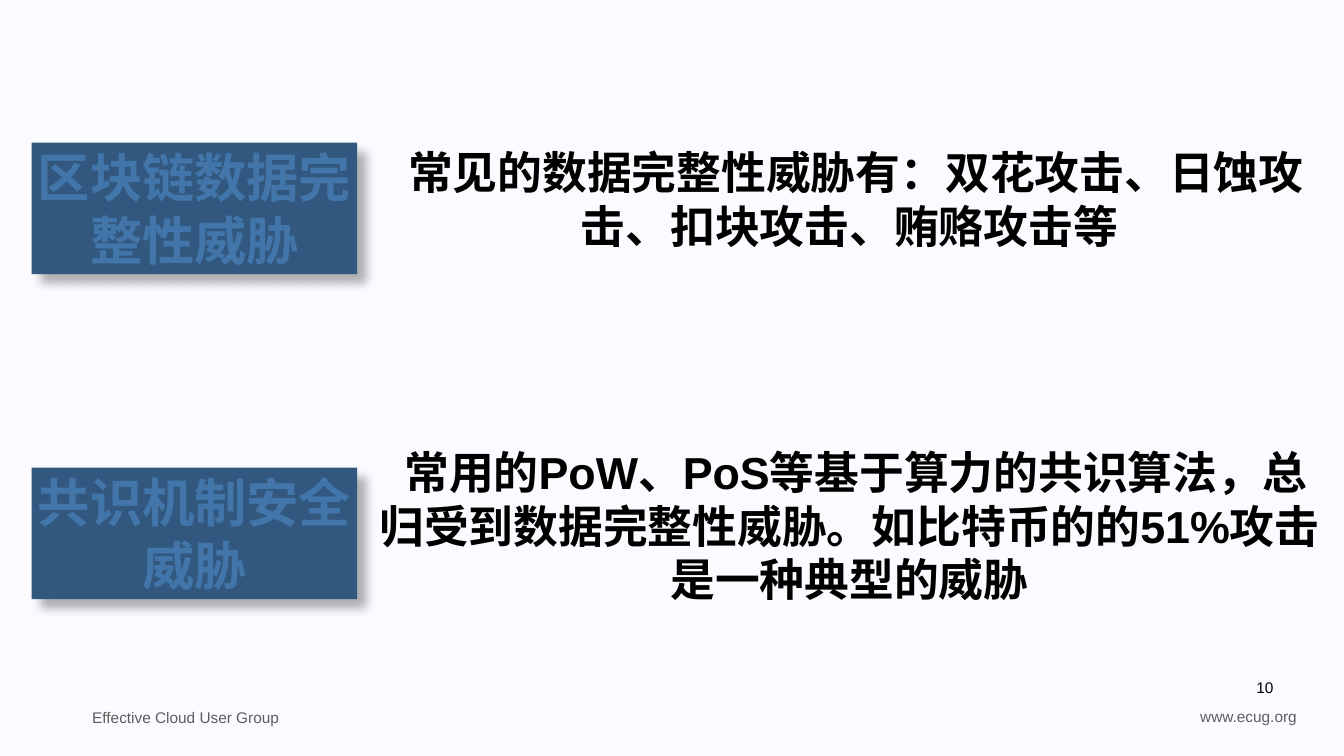
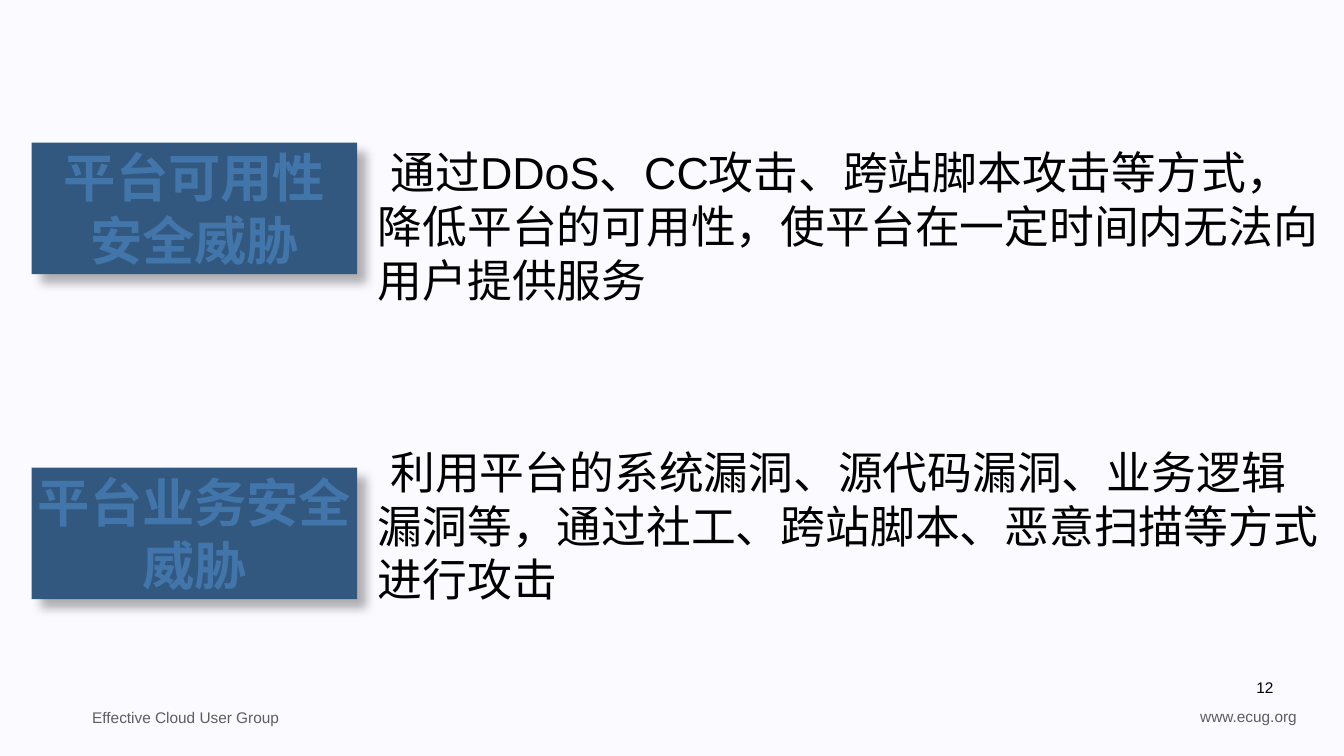
from pptx import Presentation
from pptx.dml.color import RGBColor
from pptx.enum.shapes import MSO_SHAPE
from pptx.enum.text import MSO_ANCHOR, MSO_AUTO_SIZE, PP_ALIGN
from pptx.oxml import parse_xml
from pptx.oxml.ns import qn
from pptx.util import Inches, Pt
from lxml.etree import SubElement

COLORS = {"back": "FAFAFF", "box": "32587F", "label": "4276AA",
          "foot": "5E5E5E", "text": "000000"}
FONT = "Arial"
TOPS = (2.83, 9.28)
SHADOW = (
    '<a:effectLst xmlns:a="http://schemas.openxmlformats.org/drawingml/2006/main">'
    f'<a:outerShdw blurRad="{Pt(15)}" dist="{Pt(18)}" dir="2700000" rotWithShape="0">'
    '<a:srgbClr val="000000"><a:alpha val="30000"/></a:srgbClr>'
    '</a:outerShdw></a:effectLst>')

# Page number, then per row: label, text, text top, text height
PAGES = [
    ("10", True, [
        ("区块链数据完整性威胁",
         "常见的数据完整性威胁有：双花攻击、日蚀攻击、扣块攻击、贿赂攻击等", 2.83, 2.26),
        ("共识机制安全威胁",
         "常用的PoW、PoS等基于算力的共识算法，总归受到数据完整性威胁。"
         "如比特币的的51%攻击是一种典型的威胁", 8.77, 3.33)]),
    ("12", False, [
        ("平台可用性\n安全威胁",
         "通过DDoS、CC攻击、跨站脚本攻击等方式，降低平台的可用性，"
         "使平台在一定时间内无法向用户提供服务", 2.83, 3.33),
        ("平台业务安全威胁",
         "利用平台的系统漏洞、源代码漏洞、业务逻辑漏洞等，"
         "通过社工、跨站脚本、恶意扫描等方式进行攻击", 8.77, 3.33)]),
]


def write(shape, text, size, color, bold=False, align=PP_ALIGN.CENTER, wrap=True):
    frame = shape.text_frame
    frame.text = text
    frame.word_wrap = wrap
    frame.auto_size = MSO_AUTO_SIZE.SHAPE_TO_FIT_TEXT
    frame.vertical_anchor = MSO_ANCHOR.TOP
    for par in frame.paragraphs:
        par.alignment = align
        for run in par.runs:
            run.font.size = Pt(size)
            run.font.name = FONT
            run.font.bold = bold
            run.font.color.rgb = RGBColor.from_string(COLORS[color])
            SubElement(run.font._element, qn("a:ea")).set("typeface", FONT)
    return frame


def note(slide, text, area, color, pad, align=PP_ALIGN.CENTER):
    box = slide.shapes.add_textbox(*map(Inches, area))
    frame = write(box, text, 22, color, align=align, wrap=False)
    frame.margin_left = frame.margin_right = Inches(pad)
    frame.margin_top = frame.margin_bottom = Inches(pad)
    return frame


deck = Presentation()
deck.slide_width, deck.slide_height = Inches(26.67), Inches(15)

# Shared background
fill = deck.slide_master.background.fill
fill.solid()
fill.fore_color.rgb = RGBColor.from_string(COLORS["back"])

for number, strong, rows in PAGES:
    slide = deck.slides.add_slide(deck.slide_layouts[6])

    # Footer and page number
    group = note(slide, "Effective Cloud User Group", (1.75, 13.98, 3.88, 0.51),
                 "foot", 0.08, PP_ALIGN.LEFT)
    group.paragraphs[0].line_spacing = Pt(26)
    site = note(slide, "www.ecug.org", (23.73, 13.95, 2.09, 0.51), "foot", 0.08)
    for frame in (group, site):
        frame.vertical_anchor = MSO_ANCHOR.MIDDLE
    note(slide, number, (24.81, 13.36, 0.58, 0.57), "text", 0.1)

    # Threat labels
    for top, row in zip(TOPS, rows):
        box = slide.shapes.add_shape(MSO_SHAPE.RECTANGLE, Inches(0.63), Inches(top),
                                     Inches(6.46), Inches(2.61))
        box.fill.solid()
        box.fill.fore_color.rgb = RGBColor.from_string(COLORS["box"])
        box.line.fill.background()
        box._element.spPr.append(parse_xml(SHADOW))
        write(box, row[0], 74.7, "label", bold=True)

    # Threat descriptions
    for label, text, top, height in rows:
        box = slide.shapes.add_textbox(Inches(7.4), Inches(top),
                                       Inches(18.91), Inches(height))
        align = PP_ALIGN.CENTER if strong else PP_ALIGN.LEFT
        par = write(box, text, 64, "text", strong, align).paragraphs[0]
        par.level = 1
        props = par._p.get_or_add_pPr()
        props.set("marL", "0")
        props.set("indent", str(Inches(0.25)))

deck.save("out.pptx")
